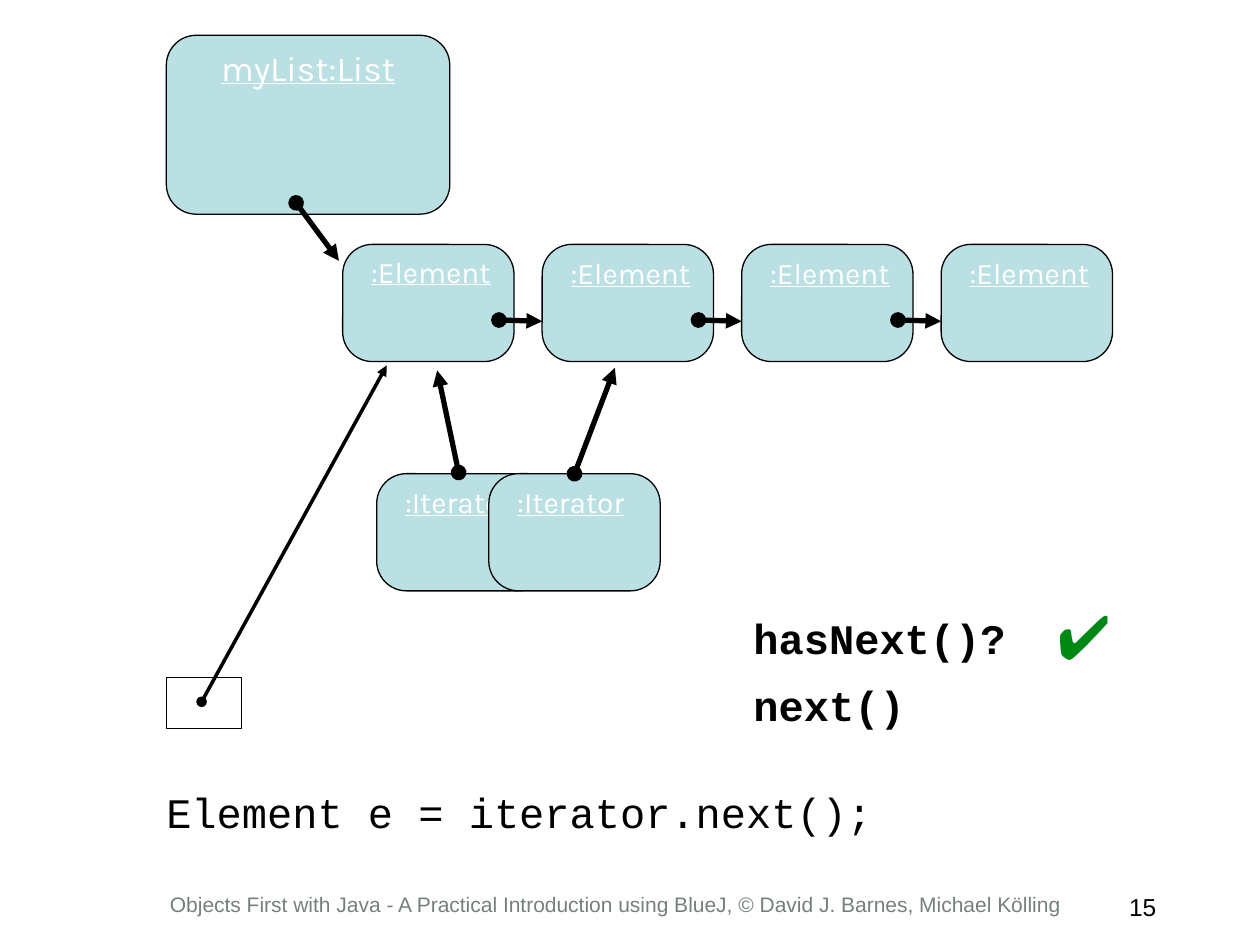
from lxml import etree
from pptx import Presentation
from pptx.dml.color import RGBColor
from pptx.enum.shapes import MSO_CONNECTOR, MSO_SHAPE
from pptx.enum.text import PP_ALIGN
from pptx.oxml.ns import qn
from pptx.util import Inches, Pt

ROUNDED, RECT = MSO_SHAPE.ROUNDED_RECTANGLE, MSO_SHAPE.RECTANGLE
STRAIGHT = MSO_CONNECTOR.STRAIGHT
LEFT, CENTER, RIGHT = PP_ALIGN.LEFT, PP_ALIGN.CENTER, PP_ALIGN.RIGHT
BLACK = RGBColor(0x00, 0x00, 0x00)
WHITE = RGBColor(0xFF, 0xFF, 0xFF)
TEAL = RGBColor(0xBB, 0xE0, 0xE3)
GREEN = RGBColor(0x00, 0x88, 0x15)
GREY = RGBColor(0x76, 0x80, 0x7A)
TIGHT = (0.04, 0, 0.04, 0)
ROOMY = (0.1, 0.05, 0.1, 0.05)


class ObjectDiagram:
    """Draws objects, labels and references on one slide."""

    def __init__(self, slide):
        self.shapes = slide.shapes

    def box(self, x, y, w, h, kind=ROUNDED, corner=None):
        sp = self.shapes.add_shape(kind, Inches(x), Inches(y), Inches(w), Inches(h))
        sp.shadow.inherit = False
        if corner is None:
            sp.fill.background()
        else:
            sp.adjustments[0] = corner
            sp.fill.solid()
            sp.fill.fore_color.rgb = TEAL
        sp.line.color.rgb = BLACK
        sp.line.width = Pt(0.75)
        return sp

    def text(self, x, y, w, h, text, size, font="Courier New", color=BLACK,
             bold=False, underline=False, align=LEFT, margins=TIGHT):
        tb = self.shapes.add_textbox(Inches(x), Inches(y), Inches(w), Inches(h))
        tf = tb.text_frame
        tf.word_wrap = True
        (tf.margin_left, tf.margin_top,
         tf.margin_right, tf.margin_bottom) = map(Inches, margins)
        p = tf.paragraphs[0]
        p.alignment = align
        r = p.add_run()
        r.text = text
        r.font.name = font
        r.font.size = Pt(size)
        r.font.bold = bold
        r.font.underline = underline
        r.font.color.rgb = color

    def label(self, x, y, w, h, text, size=17):
        self.text(x, y, w, h, text, size, "Karla", WHITE, underline=True, align=CENTER)

    def node(self, x, y, text, dx, dy=0.08):
        sp = self.box(x, y, 1.36, 0.93, corner=0.254)
        self.label(x + dx, y + dy, 1.28, 0.39, text)
        return sp

    def reference(self, x1, y1, x2, y2, width=3, source=None):
        cx = self.shapes.add_connector(STRAIGHT, Inches(x1), Inches(y1), Inches(x2), Inches(y2))
        if source is not None:
            cx.begin_connect(source, 0)
        cx.line.color.rgb = BLACK
        cx.line.width = Pt(width)
        ln = cx.line._get_or_add_ln()
        etree.SubElement(ln, qn("a:headEnd"), type="oval")
        etree.SubElement(ln, qn("a:tailEnd"), type="triangle")
        etree.SubElement(cx._element.spPr, qn("a:effectLst"))


def main():
    prs = Presentation()
    prs.slide_width, prs.slide_height = Inches(10), Inches(7.5)
    d = ObjectDiagram(prs.slides.add_slide(prs.slide_layouts[6]))

    d.text(8.75, 7.03, 0.58, 0.33, "15 ", 14, "Arial", align=RIGHT, margins=ROOMY)
    d.text(1.25, 7.03, 7.58, 0.33,
           "Objects First with Java - A Practical Introduction using BlueJ, "
           "© David J. Barnes, Michael Kölling", 12, "Arial", GREY, margins=ROOMY)

    d.box(1.32, 0.28, 2.25, 1.42, corner=0.167)
    d.label(1.32, 0.37, 2.25, 0.43, "myList:List", 20)

    element_lefts = [2.72 + 4.75 * i / 3 for i in range(4)]
    for i, x in enumerate(element_lefts):
        d.node(x, 1.94, ":Element", 0.06, 0.08 if i else 0.07)
    for x, following in zip(element_lefts, element_lefts[1:]):
        d.reference(x + 1.24, 2.54, following, 2.55)
    d.reference(2.35, 1.61, 2.69, 2.07)

    d.node(2.99, 3.76, ":Iterator", 0.01)
    d.reference(3.64, 3.75, 3.47, 2.94)
    iterator = d.node(3.88, 3.76, ":Iterator", 0.01)
    d.reference(4.56, 3.76, 4.88, 2.92, source=iterator)

    d.box(1.32, 5.38, 0.6, 0.4, RECT)
    d.reference(1.6, 5.57, 3.07, 2.9, 2)

    d.text(5.94, 4.86, 2.4, 0.51, "hasNext()?", 24, bold=True)
    d.text(8.35, 4.75, 0.68, 0.6, "✔", 35, "Noto Sans CJK JP", GREEN)
    d.text(5.94, 5.39, 2.4, 0.51, "next()", 24, bold=True)
    d.text(1.28, 6.24, 5.94, 0.51, "Element e = iterator.next();", 24)

    prs.save("out.pptx")


if __name__ == "__main__":
    main()
